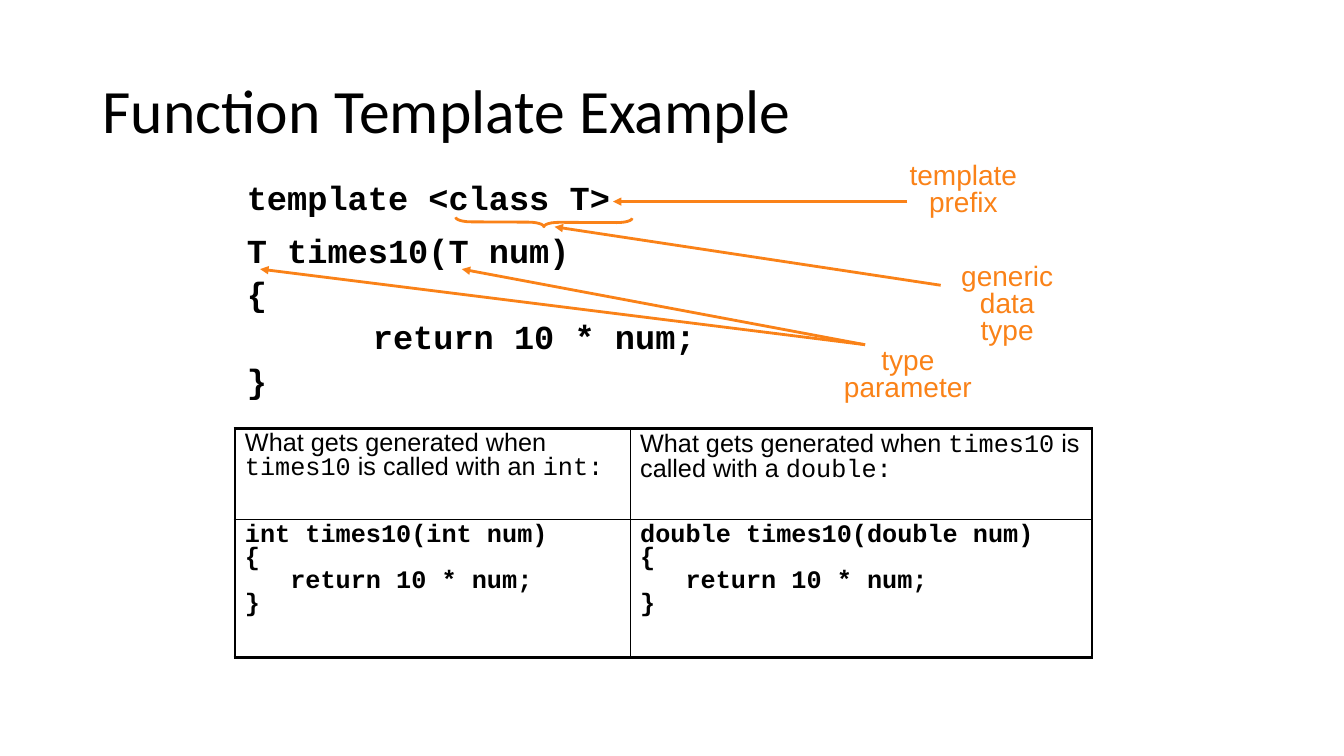
from lxml.etree import SubElement
from pptx import Presentation
from pptx.dml.color import RGBColor
from pptx.enum.shapes import MSO_CONNECTOR as Line, MSO_SHAPE as Preset
from pptx.enum.text import MSO_ANCHOR as Anchor, PP_ALIGN as Align
from pptx.oxml.ns import qn
from pptx.util import Emu, Pt

BLACK, ORANGE = "000000", "FA8218"
SANS, MONO = "Arial", "Courier New"

TITLE = "Function Template Example"
CODE = [  # text, space before in points
    ("template <class T>", 5),
    ("T times10(T num)", 12),
    ("{", 5),
    ("\t\t\treturn 10 * num;", 5),
    ("}", 5),
]
LABELS = [  # lines, left, top, width, height
    (("template", "prefix"), 892, 158, 127, 64),
    (("generic", "data type"), 932, 258, 134, 64),
    (("type", "parameter"), 827, 341, 147, 64),
]
ARROWS = [  # start, end
    ((900, 200), (608, 200)),
    ((933, 283), (550, 225)),
    ((858, 342), (458, 267)),
    ((858, 342), (258, 267)),
]
GENERATED = [  # type, article, column width
    ("int", "an", 392),
    ("double", "a", 458),
]
ROW_HEIGHTS = (90, 137)


def px(length):
    return Emu(length * 9144)  # 100 px to the inch


def color(hex_code):
    return RGBColor.from_string(hex_code)


def add_text(para, text, font=SANS, size=18, fill=BLACK, bold=False,
             spacing=0.8, before=0, align=Align.LEFT):
    para.line_spacing, para.space_before, para.alignment = spacing, Pt(before), align
    span = para.add_run()
    span.text = text
    span.font.name, span.font.size, span.font.bold = font, Pt(size), bold
    span.font.color.rgb = color(fill)


def add_box(page, left, top, width, height, wrap=True):
    frame = page.shapes.add_textbox(px(left), px(top), px(width), px(height)).text_frame
    frame.word_wrap = wrap
    return frame


def next_para(frame, index):
    return frame.add_paragraph() if index else frame.paragraphs[0]


def add_arrow(page, start, end):
    arrow = page.shapes.add_connector(Line.STRAIGHT, *map(px, start + end))
    arrow.line.color.rgb = color(ORANGE)
    arrow.line.width = Pt(2)
    SubElement(arrow.line._get_or_add_ln(), qn("a:tailEnd"), type="triangle")
    SubElement(arrow._element.spPr, qn("a:effectLst"))


def set_border(cell, side, points):
    edge = SubElement(cell._tc.get_or_add_tcPr(), qn(f"a:ln{side}"), w=str(Pt(points)))
    SubElement(SubElement(edge, qn("a:solidFill")), qn("a:srgbClr"), val=BLACK)


deck = Presentation()
deck.slide_width, deck.slide_height = px(1333), px(750)
page = deck.slides.add_slide(deck.slide_layouts[6])

# Title
title = add_box(page, 92, 40, 1150, 145)
title.vertical_anchor = Anchor.MIDDLE
add_text(title.paragraphs[0], TITLE, font="Calibri", size=44, spacing=0.9)

# Template code
code = add_box(page, 185, 175, 907, 500)
for index, (text, before) in enumerate(CODE):
    para = next_para(code, index)
    add_text(para, text, font=MONO, size=24, bold=True, spacing=0.9, before=before)
    para._p.get_or_add_pPr().set("marL", str(px(75)))
    para._p.get_or_add_pPr().set("indent", str(px(-25)))

# Labels, arrows and the brace under the type parameter list
for lines, *place in LABELS:
    label = add_box(page, *place, wrap=False)
    for index, text in enumerate(lines):
        add_text(next_para(label, index), text, size=20, fill=ORANGE, align=Align.CENTER)

for start, end in ARROWS:
    add_arrow(page, start, end)

brace = page.shapes.add_shape(Preset.LEFT_BRACE, px(535), px(133), px(9), px(175))
brace.rotation = 270.3
brace.adjustments[0], brace.adjustments[1] = 1.68, 0.5
brace.shadow.inherit = False
brace.fill.background()
brace.line.color.rgb = color(ORANGE)
brace.line.width = Pt(2)

# Table of generated functions
widths = [width for *_, width in GENERATED]
table = page.shapes.add_table(len(ROW_HEIGHTS), len(GENERATED), px(233), px(425),
                              px(sum(widths)), px(sum(ROW_HEIGHTS))).table
table.first_row = table.horz_banding = False
for row, height in zip(table.rows, ROW_HEIGHTS):
    row.height = px(height)

for col, (kind, article, width) in enumerate(GENERATED):
    table.columns[col].width = px(width)
    heading, body = table.cell(0, col), table.cell(1, col)

    for text, font in (("What gets generated when ", SANS), ("times10", MONO),
                       (f" is called with {article} ", SANS), (f"{kind}:", MONO)):
        add_text(heading.text_frame.paragraphs[0], text, font=font)
    function = (f"{kind} times10({kind} num)", "{", "   return 10 * num;", "}")
    for index, text in enumerate(function):
        add_text(next_para(body.text_frame, index), text, font=MONO, bold=True)

    for row, cell in enumerate((heading, body)):
        outer = {"L": col == 0, "R": col == 1, "T": row == 0, "B": row == 1}
        for side, is_outer in outer.items():
            set_border(cell, side, 2.25 if is_outer else 1)
        cell.fill.background()

deck.save("out.pptx")
